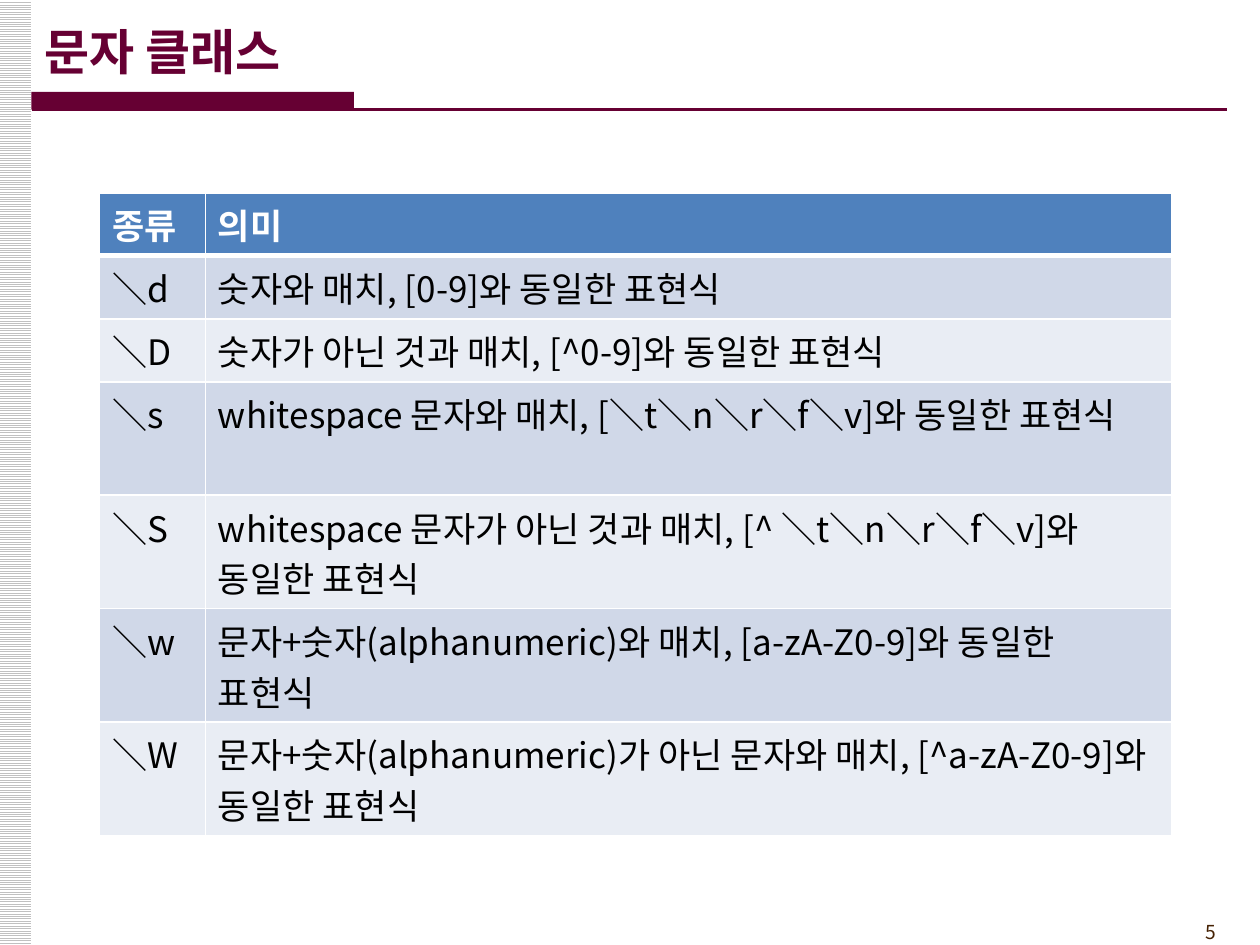
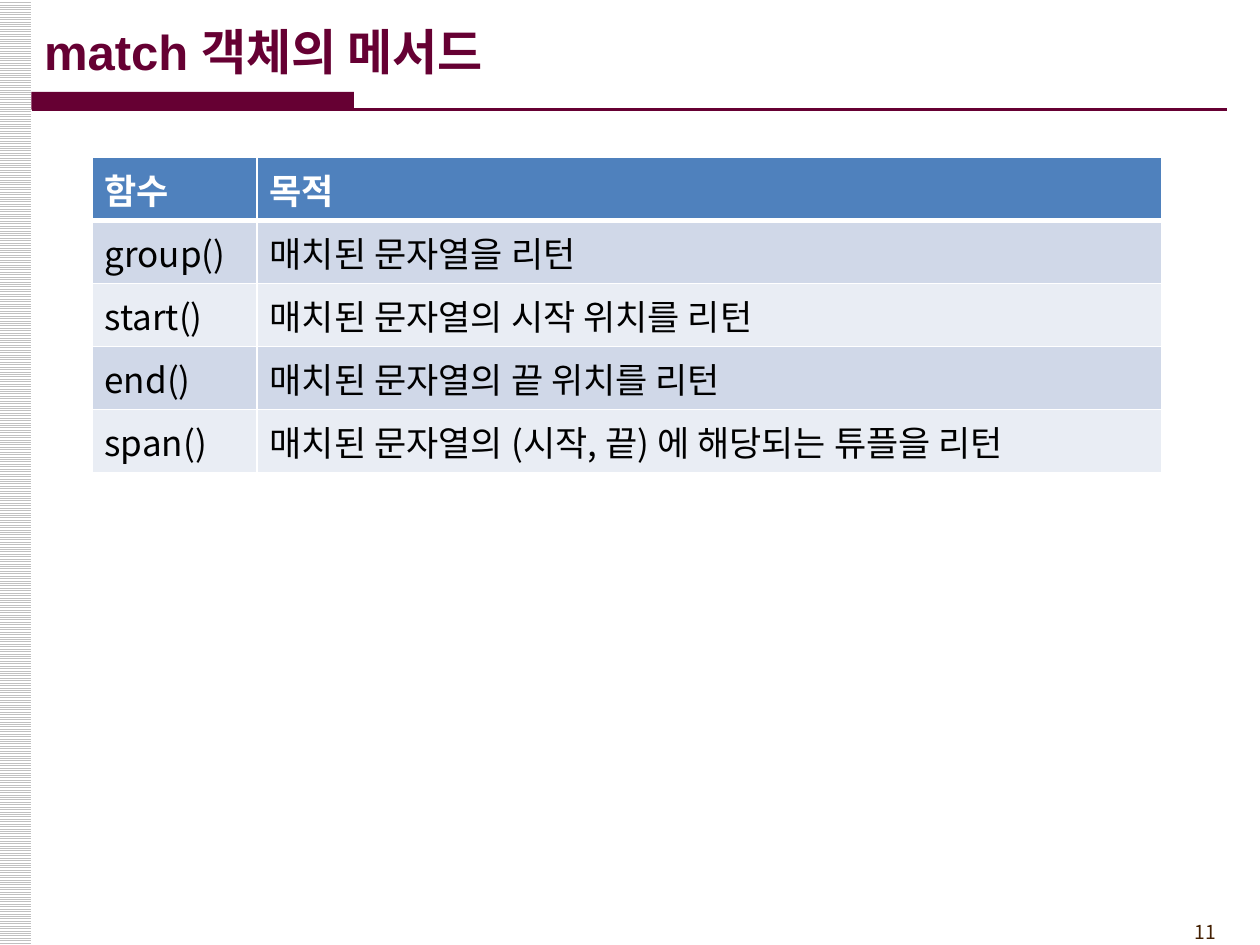
"""Build two regular-expression reference slides, each with a title and a table."""
from lxml.etree import SubElement
from pptx import Presentation
from pptx.dml.color import RGBColor
from pptx.enum.dml import MSO_PATTERN
from pptx.enum.shapes import MSO_CONNECTOR, MSO_SHAPE
from pptx.enum.text import MSO_ANCHOR, MSO_AUTO_SIZE, PP_ALIGN
from pptx.oxml.ns import qn
from pptx.util import Inches, Pt

COLORS = {
    "accent": "660033", "stripe": "C0C0C0", "white": "FFFFFF", "black": "000000",
    "number": "452103", "header": "4F81BD", "odd": "D0D8E8", "even": "E9EDF4",
}
SANS, KOREAN = "Arial", "Noto Sans CJK KR"
STYLES = {
    "title": {"name": SANS, "size": Pt(28), "bold": True, "color": "accent"},
    "number": {"name": KOREAN, "size": Pt(11), "bold": False, "color": "number"},
    "header": {"name": KOREAN, "size": Pt(20), "bold": True, "color": "white"},
    "body": {"name": KOREAN, "size": Pt(20), "bold": False, "color": "black"},
}
LINE_HEIGHT, CELL_PADDING = 0.4, 0.1
SLIDES = [
    {
        "title": "문자 클래스", "title_width": 8.27, "number": 5,
        "at": (0.79, 1.53), "cols": (0.84, 7.67), "lines": (1, 1, 1, 2, 2, 2, 2),
        "rows": [
            ("종류", "의미"),
            ("＼d", "숫자와 매치, [0-9]와 동일한 표현식"),
            ("＼D", "숫자가 아닌 것과 매치, [^0-9]와 동일한 표현식"),
            ("＼s", "whitespace 문자와 매치, [＼t＼n＼r＼f＼v]와 동일한 표현식"),
            ("＼S", "whitespace 문자가 아닌 것과 매치, [^ ＼t＼n＼r＼f＼v]와 동일한 표현식"),
            ("＼w", "문자+숫자(alphanumeric)와 매치, [a-zA-Z0-9]와 동일한 표현식"),
            ("＼W", "문자+숫자(alphanumeric)가 아닌 문자와 매치, [^a-zA-Z0-9]와 동일한 표현식"),
        ],
    },
    {
        "title": "match 객체의 메서드", "title_width": 9.44, "number": 11,
        "at": (0.73, 1.25), "cols": (1.31, 7.18), "lines": (1, 1, 1, 1, 1),
        "rows": [
            ("함수", "목적"),
            ("group()", "매치된 문자열을 리턴"),
            ("start()", "매치된 문자열의 시작 위치를 리턴"),
            ("end()", "매치된 문자열의 끝 위치를 리턴"),
            ("span()", "매치된 문자열의 (시작, 끝) 에 해당되는 튜플을 리턴"),
        ],
    },
]


def rgb(key):
    return RGBColor.from_string(COLORS[key])


def write(tf, text, style, align=PP_ALIGN.LEFT):
    p = tf.paragraphs[0]
    p.alignment = align
    r = p.add_run()
    r.text = text
    for name, value in STYLES[style].items():
        if name == "color":
            r.font.color.rgb = rgb(value)
        else:
            setattr(r.font, name, value)


def add_rect(s, *box):
    sp = s.shapes.add_shape(MSO_SHAPE.RECTANGLE, *map(Inches, box))
    sp.shadow.inherit = False
    sp.line.fill.background()
    return sp


def add_frame(s, number):
    strip = add_rect(s, -0.01, 0, 0.26, 7.5)
    strip.fill.patterned()
    strip.fill.pattern = MSO_PATTERN.LIGHT_HORIZONTAL
    strip.fill.fore_color.rgb = rgb("stripe")
    strip.fill.back_color.rgb = rgb("white")

    band = add_rect(s, 0.25, 0.73, 2.56, 0.14)
    band.fill.solid()
    band.fill.fore_color.rgb = rgb("accent")

    rule = s.shapes.add_connector(MSO_CONNECTOR.STRAIGHT, *map(Inches, (0.25, 0.87, 9.74, 0.87)))
    rule.line.color.rgb = rgb("accent")
    rule.line.width = Pt(1.5)
    SubElement(rule._element.spPr, qn("a:effectLst"))

    tf = s.shapes.add_textbox(*map(Inches, (8.92, 7.25, 0.83, 0.29))).text_frame
    tf.word_wrap = True
    tf.vertical_anchor = MSO_ANCHOR.MIDDLE
    write(tf, str(number), "number", PP_ALIGN.RIGHT)


def add_title(s, text, width):
    sp = s.shapes.title
    sp.left, sp.top, sp.width, sp.height = map(Inches, (0.25, 0.09, width, 0.63))
    tf = sp.text_frame
    tf.auto_size = MSO_AUTO_SIZE.NONE
    tf.vertical_anchor = MSO_ANCHOR.MIDDLE
    write(tf, text, "title")


def set_borders(cell, top, bottom):
    tcPr = cell._tc.get_or_add_tcPr()
    for side, width in (("L", 1), ("R", 1), ("T", top), ("B", bottom)):
        ln = SubElement(tcPr, qn(f"a:ln{side}"), w=str(Pt(width)))
        fill = SubElement(ln, qn("a:solidFill"))
        SubElement(fill, qn("a:srgbClr"), val=COLORS["white"])


def add_grid(s, at, cols, lines, rows):
    heights = [CELL_PADDING + LINE_HEIGHT * n for n in lines]
    box = (*at, sum(cols), sum(heights))
    table = s.shapes.add_table(len(rows), len(cols), *map(Inches, box)).table
    for col, width in zip(table.columns, cols):
        col.width = Inches(width)
    for i, row in enumerate(rows):
        table.rows[i].height = Inches(heights[i])
        fill = "header" if i == 0 else "odd" if i % 2 else "even"
        for j, text in enumerate(row):
            cell = table.cell(i, j)
            set_borders(cell, 3 if i == 1 else 1, 3 if i == 0 else 1)
            cell.fill.solid()
            cell.fill.fore_color.rgb = rgb(fill)
            write(cell.text_frame, text, "body" if i else "header")


def main():
    prs = Presentation()
    prs.slide_width, prs.slide_height = Inches(10), Inches(7.5)
    for data in SLIDES:
        s = prs.slides.add_slide(prs.slide_layouts[5])
        add_frame(s, data["number"])
        add_title(s, data["title"], data["title_width"])
        add_grid(s, data["at"], data["cols"], data["lines"], data["rows"])
    prs.save("out.pptx")


if __name__ == "__main__":
    main()
